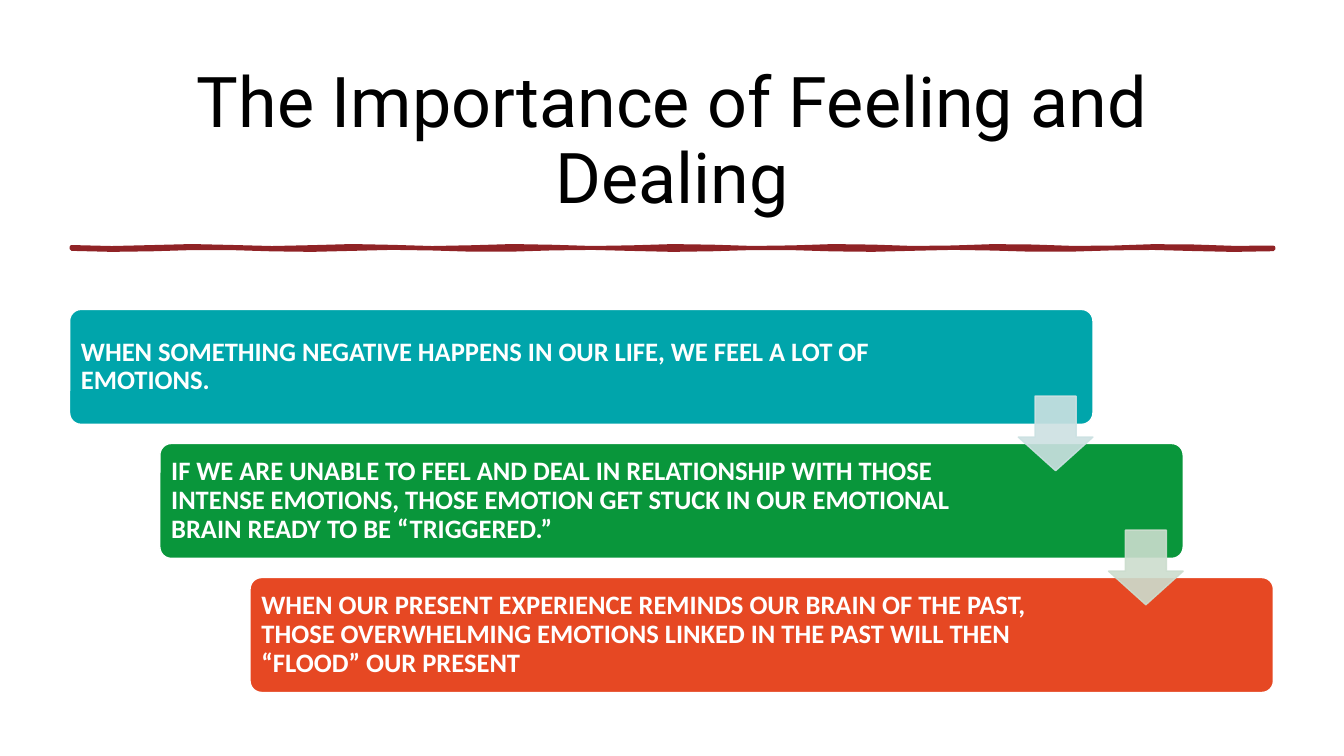
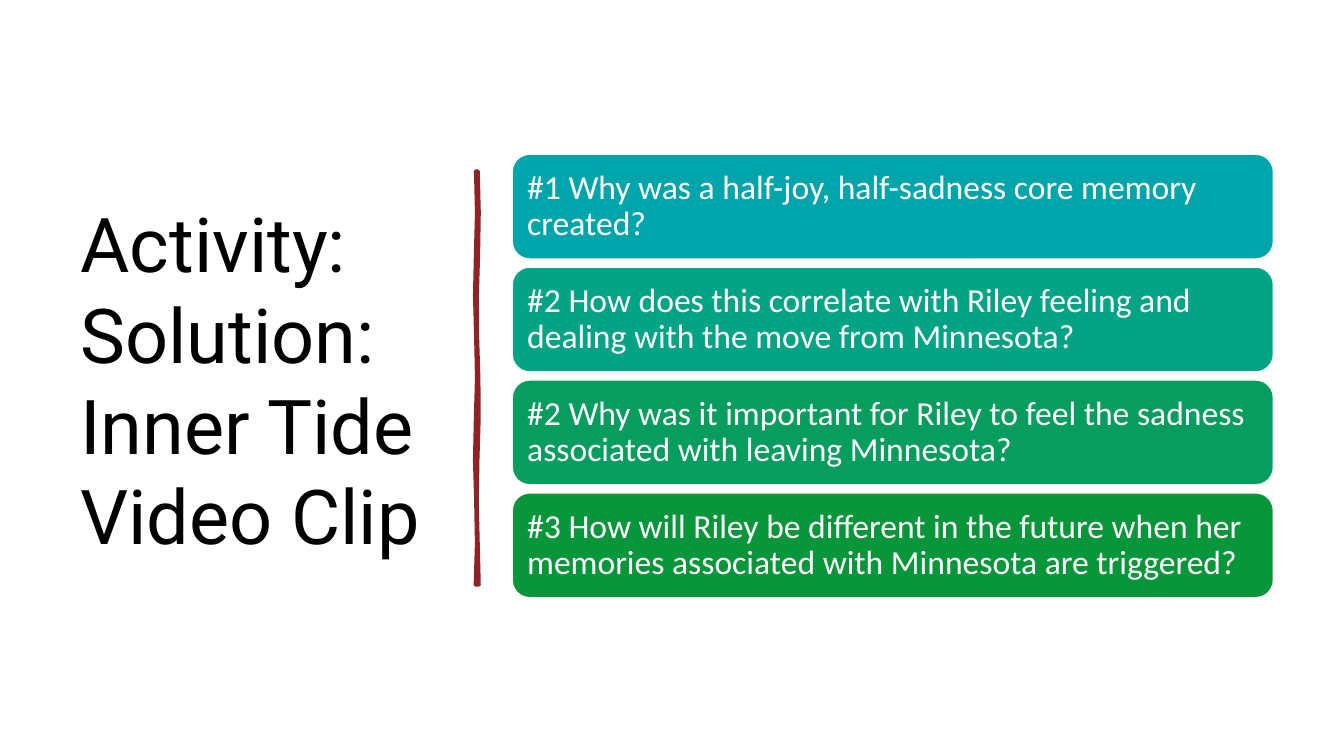
import math
from dataclasses import dataclass

import pptx
import pptx.dml.color
import pptx.enum.shapes
import pptx.enum.text
import pptx.oxml
import pptx.oxml.ns
import pptx.util
from pptx.util import Inches

SHAPE = pptx.enum.shapes.MSO_SHAPE
ALIGN = pptx.enum.text.PP_ALIGN
ANCHOR = pptx.enum.text.MSO_ANCHOR

COLORS = {
    "black": "000000",
    "white": "FFFFFF",
    "rule": "902326",
    "teal": "00A5AB",
    "sea": "03A485",
    "jade": "069D5E",
    "green": "09963B",
    "orange": "E64823",
    "pale_teal": "CCE1E2",
    "pale_green": "CCDDCE",
}
SLIDE_WIDTH = 13.33
SLIDE_HEIGHT = 7.5
TITLE_FONT = "Roboto"
BODY_FONT = "Calibri"
RULE_GAP = 0.02
RULE_STEP = 0.4
RULE_WOBBLE = 0.01


@dataclass(frozen=True)
class Card:
    text: str
    color: str


@dataclass(frozen=True)
class CardStyle:
    left: float
    top: float
    width: float
    height: float
    step_x: float
    step_y: float
    corner: float
    inset: float
    right_inset: float
    size: float
    bold: bool


STAIRS = CardStyle(0.69, 3.07, 10.15, 1.14, 0.895, 1.33, 0.1, 0.08, 1.73, 19, True)
STACK = CardStyle(5.08, 1.53, 7.55, 1.04, 0, 1.12, 0.1667, 0.1, 0.1, 24, False)

STAIR_CARDS = [
    Card("WHEN SOMETHING NEGATIVE HAPPENS IN OUR LIFE, WE FEEL A LOT OF EMOTIONS.", "teal"),
    Card("IF WE ARE UNABLE TO FEEL AND DEAL IN RELATIONSHIP WITH THOSE INTENSE EMOTIONS, "
         "THOSE EMOTION GET STUCK IN OUR EMOTIONAL BRAIN READY TO BE “TRIGGERED.”", "green"),
    Card("WHEN OUR PRESENT EXPERIENCE REMINDS OUR BRAIN OF THE PAST, THOSE OVERWHELMING "
         "EMOTIONS LINKED IN THE PAST WILL THEN “FLOOD” OUR PRESENT", "orange"),
]
QUESTIONS = [
    Card("#1 Why was a half-joy, half-sadness core memory created?", "teal"),
    Card("#2 How does this correlate with Riley feeling and dealing with the move "
         "from Minnesota?", "sea"),
    Card("#2 Why was it important for Riley to feel the sadness associated with "
         "leaving Minnesota?", "jade"),
    Card("#3 How will Riley be different in the future when her memories associated "
         "with Minnesota are triggered?", "green"),
]


def rgb(name: str) -> pptx.dml.color.RGBColor:
    return pptx.dml.color.RGBColor.from_string(COLORS[name])


def fill_shape(sp, color: str) -> None:
    sp.shadow.inherit = False
    sp.fill.solid()
    sp.fill.fore_color.rgb = rgb(color)


def outline(sp, color: str, width: float) -> None:
    sp.line.color.rgb = rgb(color)
    sp.line.width = pptx.util.Pt(width)


def write(sp, text: str, font: str, size: float, color: str, align=ALIGN.LEFT,
          spacing: float = 0.9, bold: bool = False) -> None:
    tf = sp.text_frame
    tf.word_wrap = True
    tf.vertical_anchor = ANCHOR.MIDDLE
    p = tf.paragraphs[0]
    p.alignment = align
    p.line_spacing = spacing
    r = p.add_run()
    r.text = text
    r.font.name = font
    r.font.size = pptx.util.Pt(size)
    r.font.bold = bold
    r.font.color.rgb = rgb(color)


def add_base(prs):
    s = prs.slides.add_slide(prs.slide_layouts[6])
    sp = s.shapes.add_shape(SHAPE.RECTANGLE, 0, 0, prs.slide_width, prs.slide_height)
    fill_shape(sp, "white")
    sp.line.fill.background()
    return s


def add_title(s, text: str, left: float, top: float, width: float, height: float,
              size: float, align, spacing: float) -> None:
    sp = s.shapes.add_textbox(Inches(left), Inches(top), Inches(width), Inches(height))
    write(sp, text, TITLE_FONT, size, "black", align, spacing)


def add_rule(s, left: float, top: float, length: float, vertical: bool = False) -> None:
    count = round(length / RULE_STEP)
    stations = [length * i / count for i in range(count + 1)]
    near = [(d, RULE_WOBBLE * math.sin(3.9 * d)) for d in stations]
    far = [(d, RULE_GAP + RULE_WOBBLE * math.sin(3.4 * d)) for d in reversed(stations)]
    points = [(Inches(left + w), Inches(top + d)) if vertical
              else (Inches(left + d), Inches(top + w)) for d, w in near + far]
    builder = s.shapes.build_freeform(*points[0])
    builder.add_line_segments(points[1:], close=True)
    sp = builder.convert_to_shape()
    fill_shape(sp, "rule")
    outline(sp, "rule", 2.75)
    sp._element.spPr.find(pptx.oxml.ns.qn("a:ln")).append(
        pptx.oxml.parse_xml(f"<a:round {pptx.oxml.ns.nsdecls('a')}/>"))


def add_cards(s, cards: list[Card], style: CardStyle) -> None:
    for i, card in enumerate(cards):
        sp = s.shapes.add_shape(
            SHAPE.ROUNDED_RECTANGLE,
            Inches(style.left + i * style.step_x), Inches(style.top + i * style.step_y),
            Inches(style.width), Inches(style.height))
        sp.adjustments[0] = style.corner
        fill_shape(sp, card.color)
        outline(sp, "white", 1)
        tf = sp.text_frame
        tf.margin_left = tf.margin_top = tf.margin_bottom = Inches(style.inset)
        tf.margin_right = Inches(style.right_inset)
        write(sp, card.text, BODY_FONT, style.size, "white", bold=style.bold)


def add_arrows(s, colors: list[str], style: CardStyle) -> None:
    side = 0.74
    for i, color in enumerate(colors):
        sp = s.shapes.add_shape(
            SHAPE.DOWN_ARROW,
            Inches(style.left + style.width - side + i * style.step_x),
            Inches(style.top + 0.86 + i * style.step_y), Inches(side), Inches(side))
        sp.adjustments[0] = 0.55
        sp.adjustments[1] = 0.45
        fill_shape(sp, color)
        outline(sp, color, 1)
        for clr in sp._element.spPr.iter(pptx.oxml.ns.qn("a:srgbClr")):
            clr.append(pptx.oxml.parse_xml(
                f"<a:alpha {pptx.oxml.ns.nsdecls('a')} val='90000'/>"))


def main() -> None:
    prs = pptx.Presentation()
    prs.slide_width = Inches(SLIDE_WIDTH)
    prs.slide_height = Inches(SLIDE_HEIGHT)

    s = add_base(prs)
    add_title(s, "The Importance of Feeling and Dealing",
              0.7, 0.7, 11.94, 1.44, 50, ALIGN.CENTER, 0.9)
    add_rule(s, 0.71, 2.45, 11.92)
    add_cards(s, STAIR_CARDS, STAIRS)
    add_arrows(s, ["pale_teal", "pale_green"], STAIRS)

    s = add_base(prs)
    add_title(s, "Activity: Solution: Inner Tide Video Clip",
              0.7, 0.7, 3.74, 6.11, 54, ALIGN.LEFT, 1.0)
    add_rule(s, 4.72, 1.7, 4.1, vertical=True)
    add_cards(s, QUESTIONS, STACK)

    prs.save("out.pptx")


if __name__ == "__main__":
    main()
